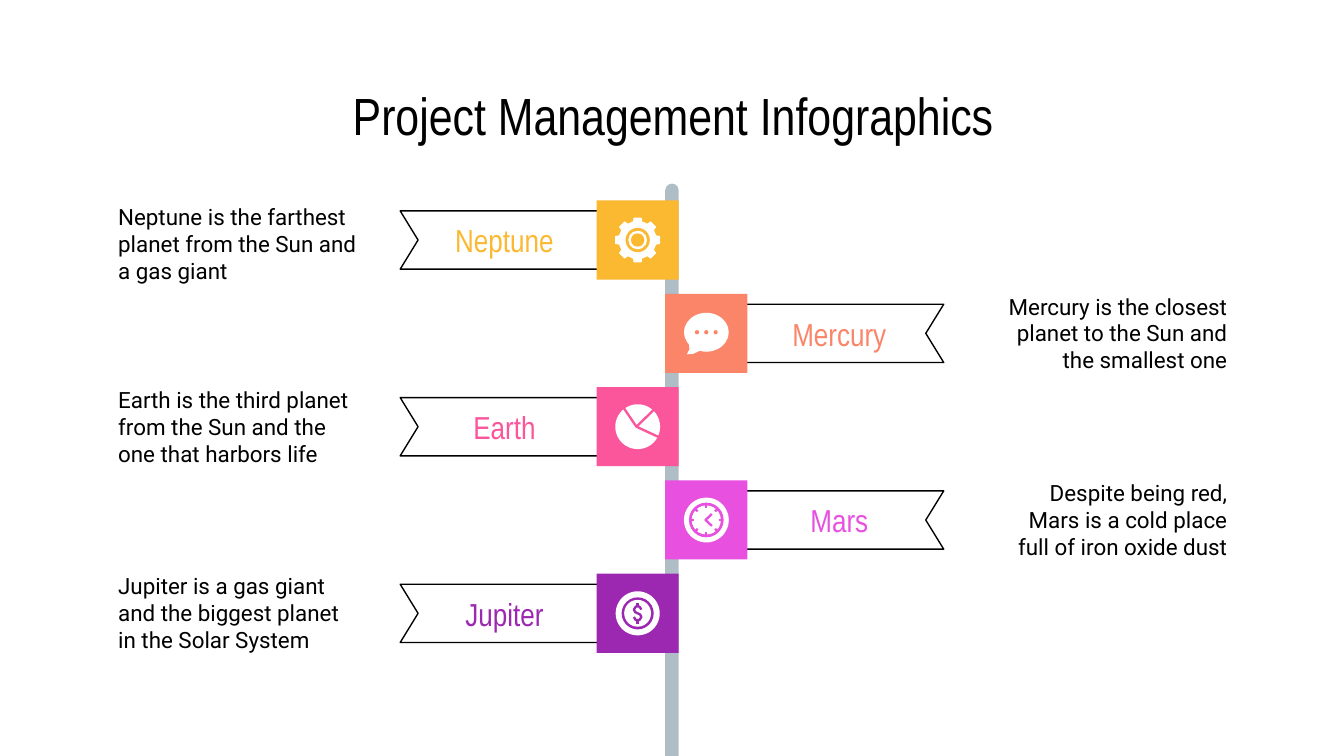
"""Build a signpost infographic with five planet banners on alternating sides."""
import math
from pptx import Presentation, util as u
from pptx.dml.color import RGBColor
from pptx.enum import shapes, text

rgb = RGBColor.from_string
KIND, AL = shapes.MSO_SHAPE, text.PP_ALIGN
WHITE, BLACK = "FFFFFF", "000000"
MID, PITCH, TOP = 360, 50, 107.4
BOX_W, BOX_H, POLE_W = 44, 42.4, 7.2


def paint(sp, fill=None, line=None, width=0.75):
    sp.shadow.inherit = False
    for part, color in ((sp.fill, fill), (sp.line.fill, line)):
        if color:
            part.solid()
            part.fore_color.rgb = rgb(color)
        else:
            part.background()
    if line:
        sp.line.width = u.Pt(width)
    return sp


def outline(points, close=True):
    pts = [(u.Pt(x), u.Pt(y)) for x, y in points]
    fb = s.shapes.build_freeform(*pts[0])
    fb.add_line_segments(pts[1:], close=close)
    return fb.convert_to_shape()


prs = Presentation()
prs.slide_width, prs.slide_height = u.Pt(720), u.Pt(405)
s = prs.slides.add_slide(prs.slide_layouts[5])
title = s.shapes.title
for key, value in dict(left=56.2, top=42.5, width=608.4, height=38.2).items():
    setattr(title, key, u.Pt(value))
texts = [(title, "Project Management Infographics", 28, "Arial Narrow", BLACK, AL.CENTER)]

pole = s.shapes.add_shape(KIND.ROUND_2_SAME_RECTANGLE, u.Pt(MID - POLE_W / 2),
                          u.Pt(98.4), u.Pt(POLE_W), u.Pt(306.6))
pole.adjustments[0] = 0.5
paint(pole, "AFBDC6")

gear = []
for i in range(8):
    for turn, radius in ((-14, 10.2), (-10, 12.2), (10, 12.2), (14, 10.2)):
        a = math.radians(45 * i + turn)
        gear.append((radius * math.cos(a), radius * math.sin(a)))
ticks = []
for i in range(8):
    a = math.radians(45 * i)
    ticks.append([(r * math.cos(a), r * math.sin(a)) for r in (6.6, 8.4)])
dollar = [(2, -2), (1, -3.6), (-1, -3.6), (-2, -2), (-1.3, -0.6),
          (1.3, 0.6), (2, 2), (1, 3.6), (-1, 3.6), (-2, 2)]
tail = [(-9.4, 5), (-9, 8.5), (-10.4, 11.2), (-7, 11), (-3, 9)]

rows = [
    ("Neptune", "FBB831", "Neptune is the farthest planet from the Sun and a gas giant", 2,
     dict(solids=[gear], discs=[(0, 0, 6.5, 6.5, 0), (0, 0, 5, 5, 1), (0, 0, 3.6, 3.6, 0)])),
    ("Mercury", "FB8569", "Mercury is the closest planet to the Sun and the smallest one", 0,
     dict(solids=[tail], discs=[(0, -0.6, 12, 10.4, 1)]
          + [(x, -0.6, 1.1, 1.1, 0) for x in (-5, 0, 5)])),
    ("Earth", "FB569C", "Earth is the third planet from the Sun and the one that harbors life", 0,
     dict(discs=[(0, 0, 12, 12, 1)],
          strokes=[[(-7.4, -10), (-0.6, 0), (8.6, -9)], [(-0.6, 0), (11, 5.4)]])),
    ("Mars", "E850E0", "Despite being red,\vMars is a cold place\vfull of iron oxide dust", 0,
     dict(discs=[(0, 0, 12, 12, 1), (0, 0, 9.3, 9.3, 0), (0, 0, 7.8, 7.8, 1)],
          strokes=ticks + [[(3, -3.2), (-0.4, 0), (3, 3.2)]])),
    ("Jupiter", "9C27B0", "Jupiter is a gas giant and the biggest planet in the Solar System", 0,
     dict(discs=[(0, 0, 11.8, 11.8, 1), (0, 0, 8.6, 8.6, 0), (0, 0, 7.2, 7.2, 1)],
          strokes=[dollar, [(0, -5.6), (0, -3.6)], [(0, 3.6), (0, 5.6)]])),
]

for i, (name, color, note, drop, icon) in enumerate(rows):
    side = 1 if i % 2 else -1
    top = TOP + PITCH * i
    cx, cy = MID + side * (BOX_W - POLE_W) / 2, top + BOX_H / 2

    banner = outline([(MID + side * x, cy + y) for x, y in
                      ((33.8, 15.6), (145.6, 15.6), (136, 0), (145.6, -15.6), (33.8, -15.6))])
    paint(banner, line=BLACK)
    box = s.shapes.add_shape(KIND.RECTANGLE, u.Pt(cx - BOX_W / 2), u.Pt(top),
                             u.Pt(BOX_W), u.Pt(BOX_H))
    paint(box, color)
    tb = s.shapes.add_textbox(u.Pt(522 if side > 0 else 56.2), u.Pt(top + drop),
                              u.Pt(142.6), u.Pt(42))
    texts += [(banner, name, 17, "Arial Narrow", color, AL.CENTER),
              (tb, note, 12, "Roboto", BLACK, AL.RIGHT if side > 0 else AL.LEFT)]

    for points in icon.get("solids", []):
        paint(outline([(cx + x, cy + y) for x, y in points]), WHITE)
    for x, y, rx, ry, light in icon["discs"]:
        disc = s.shapes.add_shape(KIND.OVAL, u.Pt(cx + x - rx), u.Pt(cy + y - ry),
                                  u.Pt(2 * rx), u.Pt(2 * ry))
        paint(disc, WHITE if light else color)
    for points in icon.get("strokes", []):
        paint(outline([(cx + x, cy + y) for x, y in points], False), line=color, width=1.25)

for sp, words, size, font, color, align in texts:
    tf = sp.text_frame
    frame = dict(word_wrap=True, auto_size=text.MSO_AUTO_SIZE.NONE,
                 vertical_anchor=text.MSO_ANCHOR.MIDDLE)
    frame.update({"margin_" + edge: u.Pt(7.2) for edge in ("left", "top", "right", "bottom")})
    for key, value in frame.items():
        setattr(tf, key, value)
    p = tf.paragraphs[0]
    p.text, p.alignment = words, align
    for r in p.runs:
        for key, value in dict(size=u.Pt(size), name=font, bold=False).items():
            setattr(r.font, key, value)
        r.font.color.rgb = rgb(color)

prs.save("out.pptx")
